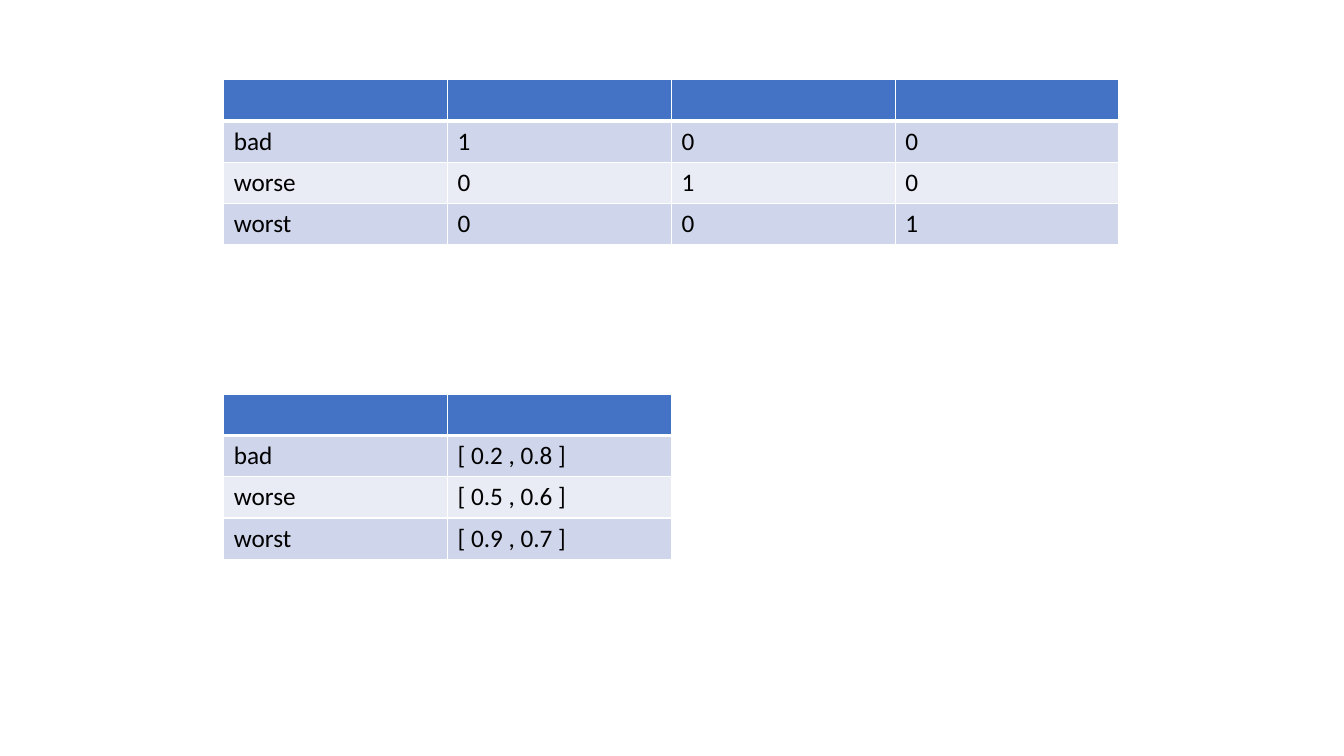
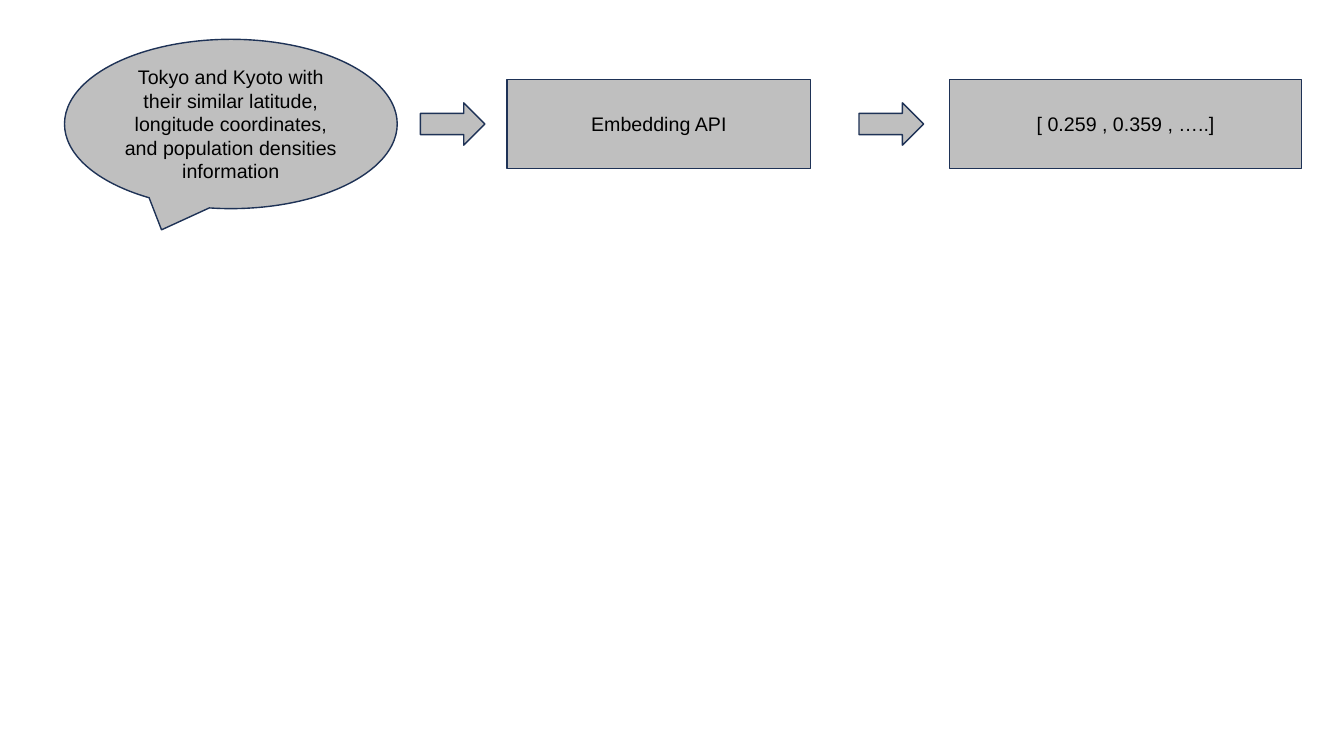
from lxml import etree
from pptx import Presentation
from pptx import util as u
from pptx.dml.color import RGBColor
from pptx.enum import shapes, text
from pptx.oxml import ns

COLOURS = {
    "header": "4472C4",
    "odd_row": "CFD5EA",
    "even_row": "E9EBF5",
    "border": "FFFFFF",
    "box": "BFBFBF",
    "outline": "1E3256",
    "text": "000000",
}
COLUMN_WIDTH = 2.22
ROW_HEIGHT = 0.41
ONE_HOT_ROWS = [
    ["", "", "", ""],
    ["bad", "1", "0", "0"],
    ["worse", "0", "1", "0"],
    ["worst", "0", "0", "1"],
]
EMBEDDING_ROWS = [
    ["", ""],
    ["bad", "[ 0.2 , 0.8 ]"],
    ["worse", "[ 0.5 , 0.6 ]"],
    ["worst", "[ 0.9 , 0.7 ]"],
]


def colour(name):
    """Return the named palette colour."""
    return RGBColor.from_string(COLOURS[name])


def add_run(paragraph, wording, font_name, size):
    """Add one formatted run to a paragraph."""
    run = paragraph.add_run()
    run.text = wording
    run.font.name = font_name
    run.font.size = u.Pt(size)
    run.font.color.rgb = colour("text")


def set_borders(cell, widths):
    """Draw the cell borders, given as points for each side."""
    properties = cell._tc.get_or_add_tcPr()
    for side in "LRTB":
        line = etree.SubElement(properties, ns.qn(f"a:ln{side}"), w=str(u.Pt(widths[side])))
        fill = etree.SubElement(line, ns.qn("a:solidFill"))
        etree.SubElement(fill, ns.qn("a:srgbClr"), val=COLOURS["border"])


def add_word_table(slide, left, top, rows):
    """Add a banded table with a coloured header row."""
    column_count = len(rows[0])
    table = slide.shapes.add_table(
        len(rows), column_count, u.Inches(left), u.Inches(top),
        u.Inches(COLUMN_WIDTH * column_count), u.Inches(ROW_HEIGHT * len(rows)),
    ).table
    for column in table.columns:
        column.width = u.Inches(COLUMN_WIDTH)
    for row_index, values in enumerate(rows):
        table.rows[row_index].height = u.Inches(ROW_HEIGHT)
        band = "header" if row_index == 0 else "odd_row" if row_index % 2 else "even_row"
        widths = {"L": 1, "R": 1, "T": 3 if row_index == 1 else 1, "B": 3 if row_index == 0 else 1}
        for column_index, value in enumerate(values):
            cell = table.cell(row_index, column_index)
            set_borders(cell, widths)
            cell.fill.solid()
            cell.fill.fore_color.rgb = colour(band)
            if value:
                add_run(cell.text_frame.paragraphs[0], value, "Calibri", 18)


def add_step(slide, kind, left, top, width, height, wording=""):
    """Add one outlined grey shape of the flow, with centred wording."""
    shape = slide.shapes.add_shape(
        kind, u.Inches(left), u.Inches(top), u.Inches(width), u.Inches(height))
    shape.shadow.inherit = False
    shape.fill.solid()
    shape.fill.fore_color.rgb = colour("box")
    shape.line.color.rgb = colour("outline")
    shape.line.width = u.Pt(1)
    if wording:
        frame = shape.text_frame
        frame.word_wrap = True
        frame.vertical_anchor = text.MSO_ANCHOR.MIDDLE
        paragraph = frame.paragraphs[0]
        paragraph.alignment = text.PP_ALIGN.CENTER
        add_run(paragraph, wording, "Arial", 14)


def add_embedding_flow(slide, left, middle):
    """Add the flow from sentence to vector along a horizontal middle line."""
    kinds = shapes.MSO_SHAPE
    prompt = ("Tokyo and Kyoto with their similar latitude, longitude coordinates, "
              "and population densities information")
    steps = [
        (kinds.OVAL_CALLOUT, 0, 3.3, 1.68, prompt),
        (kinds.RIGHT_ARROW, 3.53, 0.64, 0.42, ""),
        (kinds.RECTANGLE, 4.39, 3.01, 0.88, "Embedding API"),
        (kinds.RIGHT_ARROW, 7.88, 0.64, 0.42, ""),
        (kinds.RECTANGLE, 8.78, 3.49, 0.88, "[ 0.259 , 0.359 , …..]"),
    ]
    for kind, offset, width, height, wording in steps:
        add_step(slide, kind, left + offset, middle - height / 2, width, height, wording)


def main():
    """Build and save the presentation."""
    presentation = Presentation()
    presentation.slide_width = u.Inches(13.33)
    presentation.slide_height = u.Inches(7.5)
    blank = presentation.slide_layouts[6]

    table_slide = presentation.slides.add_slide(blank)
    add_word_table(table_slide, 2.22, 0.79, ONE_HOT_ROWS)
    add_word_table(table_slide, 2.22, 3.91, EMBEDDING_ROWS)

    flow_slide = presentation.slides.add_slide(blank)
    add_embedding_flow(flow_slide, 0.64, 1.23)

    presentation.save("out.pptx")


if __name__ == "__main__":
    main()
